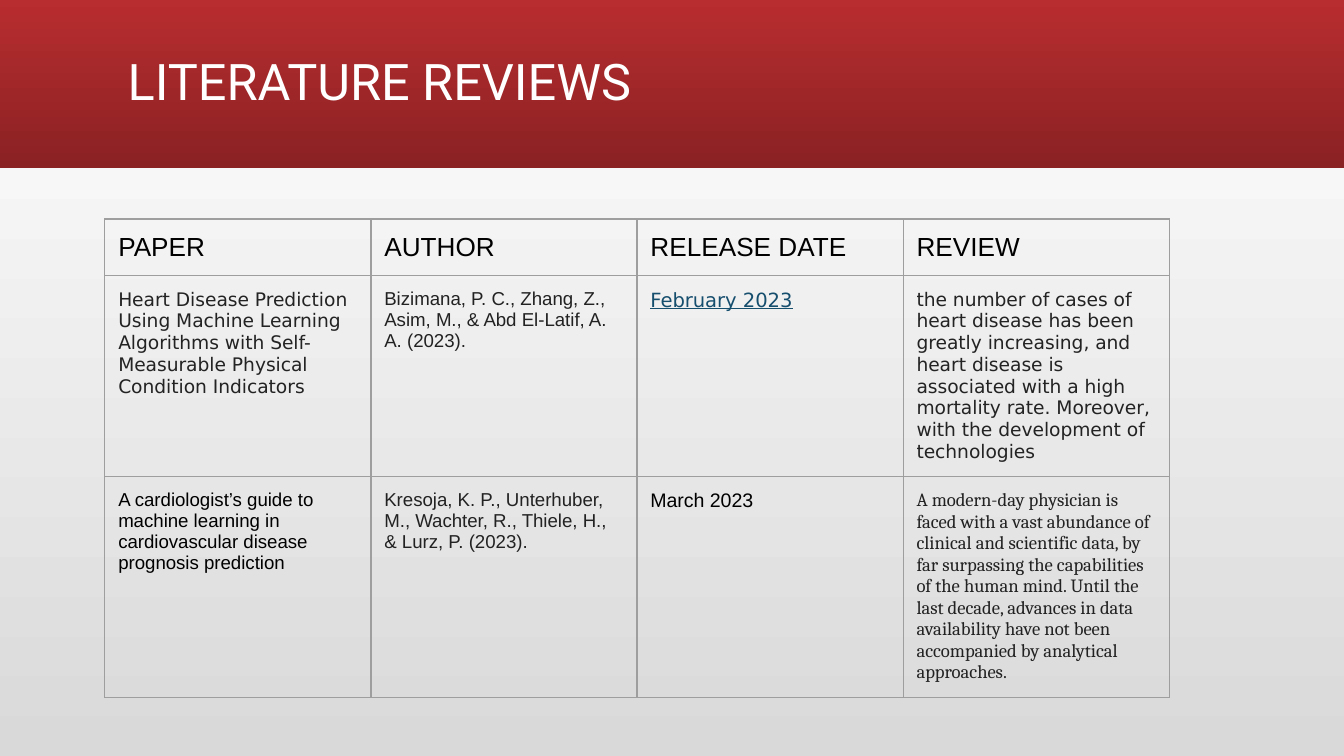
from lxml.etree import SubElement
from pptx import Presentation
from pptx.dml.color import RGBColor
from pptx.enum.shapes import MSO_SHAPE as Shape
from pptx.enum.text import MSO_ANCHOR as Anchor, PP_ALIGN as Align
from pptx.oxml.ns import qn
from pptx.util import Inches, Pt

COLORS = {
    "band_top": "B82D2F", "band_bottom": "8A2123",
    "page_bottom": "D9D9D9", "page_top": "FFFFFF",
    "white": "FFFFFF", "black": "000000", "dark": "232323",
    "gray": "222222", "link": "164E6E", "border": "9E9E9E",
}

# Content: each cell is its text and its format
TITLE = "LITERATURE REVIEWS"
HEADINGS = ["PAPER", "AUTHOR", "RELEASE DATE", "REVIEW"]
SANS = dict(font="DejaVu Sans", color="dark")
CITATION = dict(color="gray")
PAPERS = [
    [("Heart Disease Prediction Using Machine Learning Algorithms with "
      "Self-Measurable Physical Condition Indicators", SANS),
     ("Bizimana, P. C., Zhang, Z., Asim, M., & Abd El-Latif, A. A. (2023).", CITATION),
     ("February 2023", dict(font="DejaVu Sans", size=10.5, color="link", underline=True)),
     ("the number of cases of heart disease has been greatly increasing, and "
      "heart disease is associated with a high mortality rate. Moreover, with "
      "the development of technologies", SANS)],
    [("A cardiologist’s guide to machine learning in cardiovascular disease "
      "prognosis prediction", {}),
     ("Kresoja, K. P., Unterhuber, M., Wachter, R., Thiele, H., & Lurz, P. (2023).", CITATION),
     ("March 2023", dict(size=10.5)),
     ("A modern-day physician is faced with a vast abundance of clinical and "
      "scientific data, by far surpassing the capabilities of the human mind. "
      "Until the last decade, advances in data availability have not been "
      "accompanied by analytical approaches.", dict(font="Cambria", color="gray"))],
]
ROWS = [[(heading, dict(size=14)) for heading in HEADINGS]] + PAPERS

# Layout in inches, on a 16:9 page
WIDTH, BAND_HEIGHT = 10, 1.25
HEIGHT = WIDTH * 9 / 16
TABLE_LEFT, TABLE_TOP, COLUMN_WIDTH = 0.78, 1.63, 1.98
ROW_HEIGHTS = [0.42, 1.49, 1.64]
CELL_MARGIN = 0.1


def write(frame, text, font="Arial", size=10, color="black", underline=False,
          spacing=1.0):
    frame.word_wrap = True
    paragraph = frame.paragraphs[0]
    paragraph.alignment = Align.LEFT
    paragraph.line_spacing = spacing
    run = paragraph.add_run()
    run.text = text
    run.font.name, run.font.size = font, Pt(size)
    run.font.bold, run.font.underline = False, underline
    run.font.color.rgb = RGBColor.from_string(COLORS[color])


def fill_gradient(fill, start, end, angle):
    fill.gradient()
    fill.gradient_angle = angle
    for stop, position, color in zip(fill.gradient_stops, (0, 1), (start, end)):
        stop.position = position
        stop.color.rgb = RGBColor.from_string(COLORS[color])


def add_borders(cell):
    properties = cell._tc.get_or_add_tcPr()
    for side in ("a:lnL", "a:lnR", "a:lnT", "a:lnB"):
        line = SubElement(properties, qn(side), w=str(Pt(0.75)))
        solid = SubElement(line, qn("a:solidFill"))
        SubElement(solid, qn("a:srgbClr"), val=COLORS["border"])


deck = Presentation()
deck.slide_width, deck.slide_height = Inches(WIDTH), Inches(HEIGHT)
slide = deck.slides.add_slide(deck.slide_layouts[5])
fill_gradient(slide.background.fill, "page_bottom", "page_top", 90)

# Header band, behind the title
band = slide.shapes.add_shape(Shape.RECTANGLE, 0, 0, Inches(WIDTH), Inches(BAND_HEIGHT))
band.shadow.inherit = False
band.line.fill.background()
fill_gradient(band.fill, "band_top", "band_bottom", 270)
slide.shapes._spTree.insert(2, band._element)

# Title
title = slide.shapes.title
title.left, title.top = Inches(0.88), Inches(0.08)
title.width, title.height = Inches(8.25), Inches(1.09)
frame = title.text_frame
frame.vertical_anchor = Anchor.MIDDLE
frame.margin_left = frame.margin_right = Inches(0.07)
frame.margin_top = frame.margin_bottom = Inches(0.04)
write(frame, TITLE, font="Roboto", size=27, color="white", spacing=0.9)

# Table of papers
reviews = slide.shapes.add_table(
    len(ROWS), len(HEADINGS), Inches(TABLE_LEFT), Inches(TABLE_TOP),
    Inches(COLUMN_WIDTH * len(HEADINGS)), Inches(sum(ROW_HEIGHTS))).table
reviews.first_row = reviews.horz_banding = False
for column in reviews.columns:
    column.width = Inches(COLUMN_WIDTH)
for row, height, entries in zip(reviews.rows, ROW_HEIGHTS, ROWS):
    row.height = Inches(height)
    for cell, (text, style) in zip(row.cells, entries):
        cell.margin_left = cell.margin_right = Inches(CELL_MARGIN)
        cell.margin_top = cell.margin_bottom = Inches(CELL_MARGIN)
        add_borders(cell)
        cell.fill.background()
        write(cell.text_frame, text, **style)

deck.save("out.pptx")
